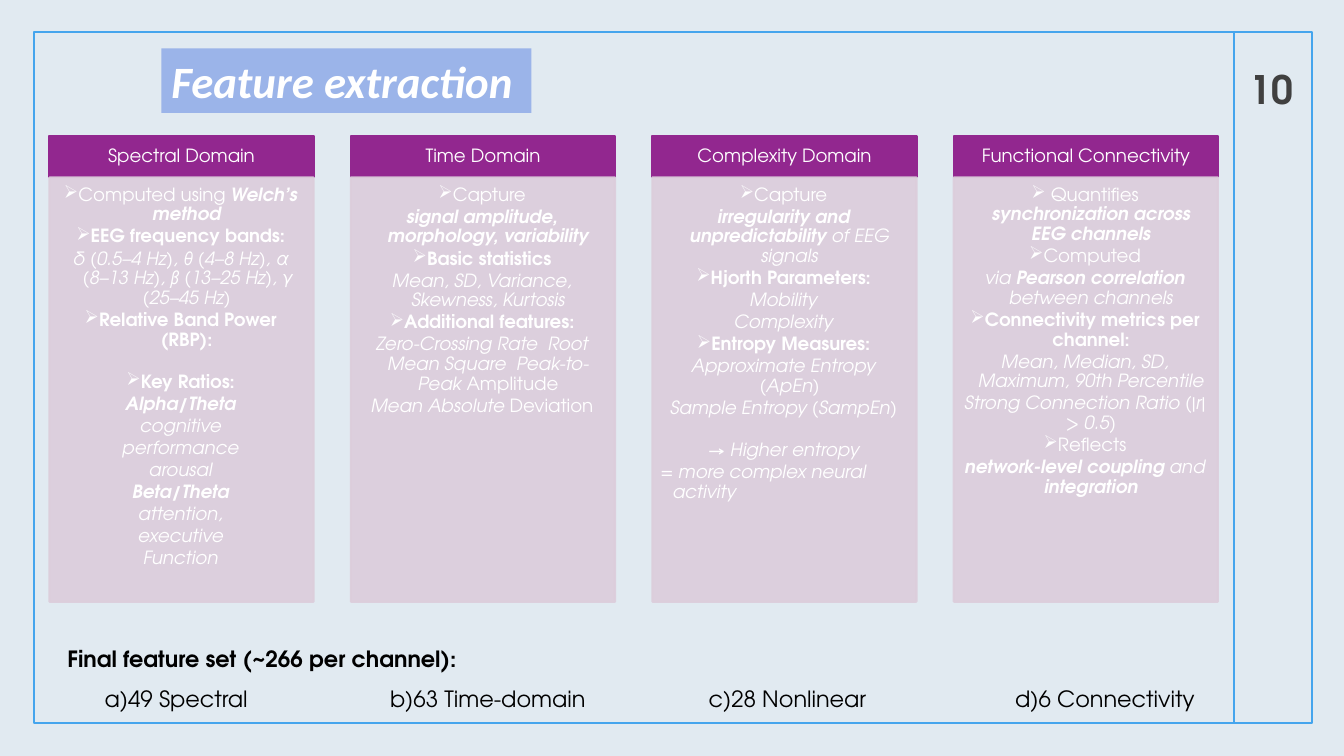
from dataclasses import dataclass

from lxml import etree
from pptx import Presentation
from pptx import util as u
from pptx.dml.color import RGBColor
from pptx.enum import shapes, text
from pptx.oxml import ns

FONT = "TeX Gyre Adventor"
BLUE, PURPLE, LILAC, WHITE = "45A5ED", "92278F", "DCCDDB", "FFFFFF"
LEFT, PITCH, WIDTH = 0.49, 2.99, 2.62
HEAD_TOP, HEAD_HEIGHT, BODY_HEIGHT = 1.35, 0.41, 4.21
CENTER = text.PP_ALIGN.CENTER


@dataclass
class Item:
    """One paragraph: (text, style) runs, where style holds b and/or i."""
    runs: list[tuple[str, str]]
    bullet: bool = False
    before: float = 0
    after: float = 1.7
    align: text.PP_ALIGN = CENTER


@dataclass
class Domain:
    name: str
    items: list[Item]


def line(words: str, style: str = "i", **kw) -> Item:
    return Item([(words, style)], **kw)


def point(words: str, style: str = "b", **kw) -> Item:
    return Item([(words, style)], bullet=True, **kw)


DOMAINS = [
    Domain("Spectral Domain", [
        Item([("Computed using ", ""), ("Welch’s method", "bi")], bullet=True),
        point("EEG frequency bands:"),
        line("δ (0.5–4 Hz), θ (4–8 Hz), α (8–13 Hz), β (13–25 Hz), γ (25–45 Hz)"),
        point("Relative Band Power (RBP):", after=16),
        point("Key Ratios:"),
        line("Alpha/Theta", "bi"),
        line("cognitive"),
        line("performance"),
        line("arousal"),
        line("Beta/Theta", "bi"),
        line("attention,"),
        line("executive"),
        line("Function"),
    ]),
    Domain("Time Domain", [
        point("Capture", ""),
        line("signal amplitude, morphology, variability", "bi"),
        point("Basic statistics"),
        line("Mean, SD, Variance, Skewness, Kurtosis"),
        point("Additional features:"),
        Item([("Zero-Crossing Rate  Root Mean Square  Peak-to-Peak", "i"),
              (" Amplitude", "")]),
        Item([("Mean Absolute ", "i"), ("Deviation", "")]),
    ]),
    Domain("Complexity Domain", [
        point("Capture", ""),
        Item([("irregularity and unpredictability", "bi"), (" of EEG signals", "i")]),
        point("Hjorth Parameters:"),
        line("Mobility"),
        line("Complexity"),
        point("Entropy Measures:"),
        line("Approximate Entropy (ApEn)"),
        line("Sample Entropy (SampEn)"),
        line("→ Higher entropy", before=14.2),
        line("= more complex neural activity", align=text.PP_ALIGN.LEFT),
    ]),
    Domain("Functional Connectivity", [
        Item([(" Quantifies ", ""), ("synchronization across EEG channels", "bi")],
             bullet=True),
        point("Computed", ""),
        Item([("via ", "i"), ("Pearson correlation", "bi"), (" between channels", "i")]),
        point("Connectivity metrics per channel:"),
        line("Mean, Median, SD, Maximum, 90th Percentile"),
        Item([("Strong Connection Ratio (|r| > 0.5", "i"), (")", "")]),
        point("Reflects", ""),
        Item([("network-level coupling", "bi"), (" and ", "i"), ("integration", "bi")]),
    ]),
]

COUNTS = {0.37: "a)49 Spectral", 3.2: "b)63 Time-domain",
          6.36: "c)28 Nonlinear", 9.4: "d)6 Connectivity"}


def paint(fmt, color: str, alpha: int = 100) -> None:
    """Give a fill a solid colour with an opacity in percent."""
    fmt.solid()
    fmt.fore_color.rgb = RGBColor.from_string(color)
    if alpha < 100:
        for clr in fmt._xPr.iter(ns.qn("a:srgbClr")):
            etree.SubElement(clr, ns.qn("a:alpha"), val=str(alpha * 1000))


def add_text(p, words: str, *, size: float, color: str = WHITE, style: str = "",
             font: str = FONT) -> None:
    r = p.add_run()
    r.text = words
    r.font.name, r.font.size = font, u.Pt(size)
    r.font.bold, r.font.italic = "b" in style, "i" in style
    r.font.color.rgb = RGBColor.from_string(color)


def set_margins(tf, left: float, top: float, right: float, bottom: float) -> None:
    tf.margin_left, tf.margin_top = u.Inches(left), u.Inches(top)
    tf.margin_right, tf.margin_bottom = u.Inches(right), u.Inches(bottom)


def add_box(s, left: float, top: float, width: float, height: float, *,
            fill: str = "", edge: str = "", weight: float = 1.5, alpha: int = 100):
    sp = s.shapes.add_shape(shapes.MSO_SHAPE.RECTANGLE, u.Inches(left), u.Inches(top),
                            u.Inches(width), u.Inches(height))
    sp.shadow.inherit = False
    if fill:
        paint(sp.fill, fill, alpha)
    else:
        sp.fill.background()
    paint(sp.line.fill, edge, alpha)
    sp.line.width = u.Pt(weight)
    return sp


def add_textbox(s, left: float, top: float, width: float, height: float):
    tf = s.shapes.add_textbox(u.Inches(left), u.Inches(top), u.Inches(width),
                              u.Inches(height)).text_frame
    tf.word_wrap = True
    return tf


def add_item(p, item: Item) -> None:
    p.level, p.alignment, p.line_spacing = 1, item.align, 0.9
    p.space_before, p.space_after = u.Pt(item.before), u.Pt(item.after)
    pPr = p._p.get_or_add_pPr()
    pPr.set("marL", str(u.Inches(0.12)))
    pPr.set("indent", str(u.Inches(-0.12)))
    if item.bullet:
        etree.SubElement(pPr, ns.qn("a:buChar"), char="➢")
    for words, style in item.runs:
        add_text(p, words, size=13, style=style)


def add_domain(s, left: float, domain: Domain) -> None:
    head = add_box(s, left, HEAD_TOP, WIDTH, HEAD_HEIGHT, fill=PURPLE, edge=PURPLE)
    tf = head.text_frame
    set_margins(tf, 0.1, 0.06, 0.1, 0.06)
    p = tf.paragraphs[0]
    p.alignment, p.line_spacing = CENTER, 0.9
    add_text(p, domain.name, size=13)

    body = add_box(s, left, HEAD_TOP + HEAD_HEIGHT, WIDTH, BODY_HEIGHT,
                   fill=LILAC, edge=LILAC, alpha=90)
    tf = body.text_frame
    tf.vertical_anchor = text.MSO_ANCHOR.TOP
    set_margins(tf, 0.08, 0.08, 0.1, 0.11)
    for i, item in enumerate(domain.items):
        add_item(tf.add_paragraph() if i else tf.paragraphs[0], item)


def add_title(s) -> None:
    sp = s.shapes.title
    sp.left, sp.top, sp.width, sp.height = map(u.Inches, (1.6, 0.48, 3.67, 0.64))
    paint(sp.fill, "9BB4E9")
    tf = sp.text_frame
    tf.auto_size, tf.vertical_anchor = text.MSO_AUTO_SIZE.NONE, text.MSO_ANCHOR.TOP
    p = tf.paragraphs[0]
    p.alignment = text.PP_ALIGN.LEFT
    add_text(p, "Feature extraction", size=32, style="bi", font="Calibri")


def add_frame(s) -> None:
    """Draw the outline, the side rule and the page number."""
    rule = s.shapes.add_connector(shapes.MSO_CONNECTOR.STRAIGHT, u.Inches(12.24),
                                  u.Inches(0.32), u.Inches(12.24), u.Inches(7.17))
    paint(rule.line.fill, BLUE)
    rule.line.width = u.Pt(1.25)
    etree.SubElement(rule._element.spPr, ns.qn("a:effectLst"))
    add_box(s, 0.34, 0.32, 12.67, 6.85, edge=BLUE, weight=1.25)
    tf = add_textbox(s, 12.15, 0.32, 0.92, 0.84)
    tf.vertical_anchor = text.MSO_ANCHOR.BOTTOM
    tf.paragraphs[0].alignment = CENTER
    add_text(tf.paragraphs[0], "10", size=28, color="404040", style="b")


def add_summary(s) -> None:
    tf = add_textbox(s, 0.57, 6.22, 12.24, 0.86)
    total, counts = tf.paragraphs[0], tf.add_paragraph()
    total.line_spacing = counts.line_spacing = 1.5
    add_text(total, "Final feature set (~266 per channel):", size=16,
             color="000000", style="b")
    tabs = etree.SubElement(counts._p.get_or_add_pPr(), ns.qn("a:tabLst"))
    for pos, words in COUNTS.items():
        etree.SubElement(tabs, ns.qn("a:tab"), pos=str(u.Inches(pos)), algn="l")
        add_text(counts, "\t" + words, size=16, color="000000")


def main() -> None:
    prs = Presentation()
    prs.slide_width, prs.slide_height = u.Inches(13.33), u.Inches(7.5)
    s = prs.slides.add_slide(prs.slide_layouts[5])
    paint(s.background.fill, "E1EAF1")
    add_frame(s)
    add_title(s)
    for i, domain in enumerate(DOMAINS):
        add_domain(s, LEFT + i * PITCH, domain)
    add_summary(s)
    prs.save("out.pptx")


if __name__ == "__main__":
    main()
